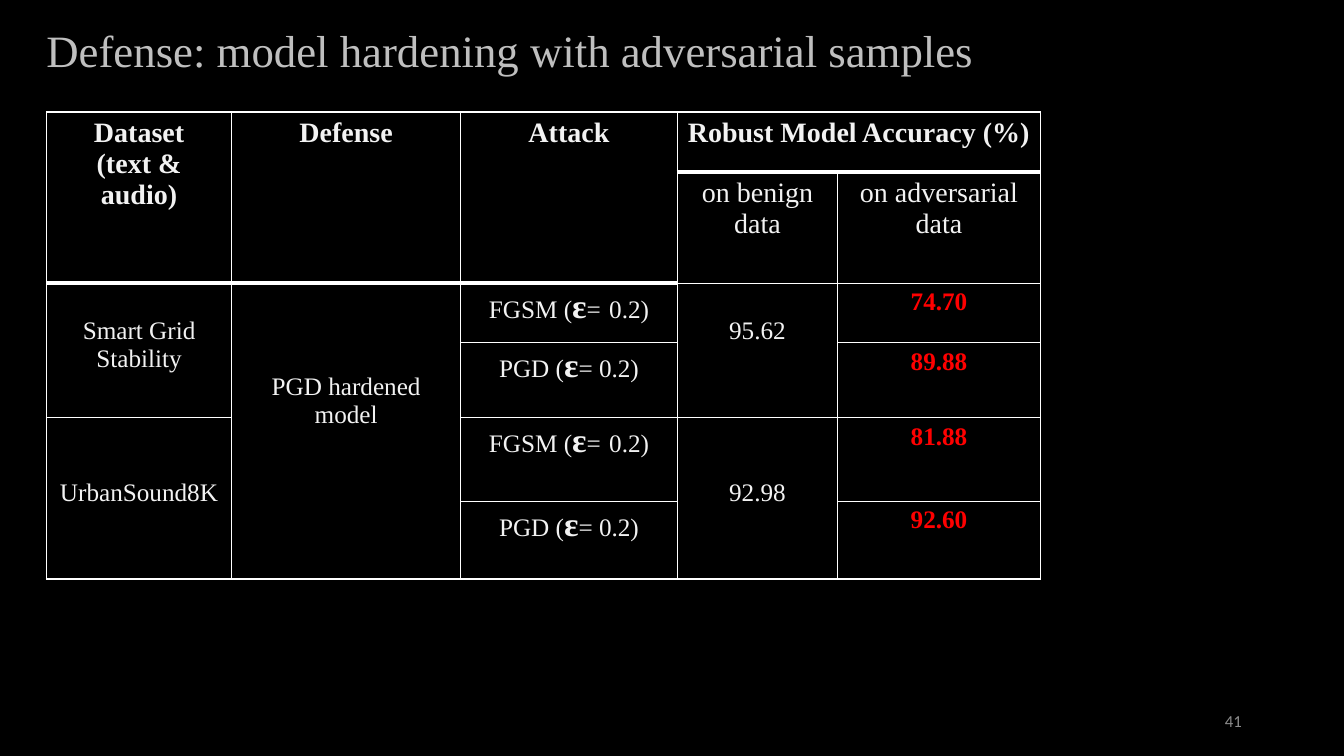
"""Builds the slide on model hardening with adversarial samples."""
from lxml.etree import SubElement
from pptx import Presentation
from pptx.dml.color import RGBColor
from pptx.enum.text import MSO_ANCHOR as Anchor, PP_ALIGN as Align
from pptx.oxml.ns import qn
from pptx.util import Cm, Pt

BLACK, WHITE, PALE, RED = "000000", "FFFFFF", "F2F2F2", "FF0000"


def write(paragraph, text, size=18, color=PALE, bold=False,
          font="Times New Roman", align=Align.CENTER):
    paragraph.alignment = align
    run = paragraph.add_run()
    run.text = text
    run.font.size = Pt(size)
    run.font.name = font
    run.font.bold = bold
    run.font.color.rgb = RGBColor.from_string(color)


def draw_border(cell, edge, width):
    line = SubElement(cell._tc.get_or_add_tcPr(), qn(f"a:ln{edge}"), w=str(Pt(width)))
    fill = SubElement(line, qn("a:solidFill"))
    SubElement(fill, qn("a:srgbClr"), val=WHITE)


deck = Presentation()
deck.slide_width, deck.slide_height = Cm(33.87), Cm(19.05)
slide = deck.slides.add_slide(deck.slide_layouts[6])
slide.background.fill.solid()
slide.background.fill.fore_color.rgb = RGBColor.from_string(BLACK)

title = slide.shapes.add_textbox(Cm(0.92), Cm(0.84), Cm(27.94), Cm(1.22)).text_frame
title.word_wrap = True
title.vertical_anchor = Anchor.BOTTOM
title.paragraphs[0].line_spacing = 0.9
write(title.paragraphs[0], "Defense: model hardening with adversarial samples",
      size=32, color="BFBFBF", align=Align.LEFT)

column_widths = [4.67, 5.77, 5.46, 4.04, 5.11]
row_heights = [1.52, 2.59, 1.5, 1.89, 2.1, 1.96]
results = slide.shapes.add_table(
    len(row_heights), len(column_widths), Cm(1.17), Cm(2.82),
    Cm(sum(column_widths)), Cm(sum(row_heights))).table
results.first_row = results.horz_banding = False
for column, width in zip(results.columns, column_widths):
    column.width = Cm(width)
for row, height in zip(results.rows, row_heights):
    row.height = Cm(height)

header_depths = [2, 2, 2, 1, 1]
for row in range(len(row_heights)):
    for column, depth in enumerate(header_depths):
        cell = results.cell(row, column)
        top = 3 if row == depth else 1
        bottom = 3 if row < depth else 1
        for edge, width in zip("LRTB", (1, 1, top, bottom)):
            draw_border(cell, edge, width)
        cell.fill.solid()
        cell.fill.fore_color.rgb = RGBColor.from_string(BLACK)
        cell.margin_left = cell.margin_right = Cm(0.24)

spans = [(0, 0, 1, 0), (0, 1, 1, 1), (0, 2, 1, 2), (0, 3, 0, 4), (2, 0, 3, 0),
         (2, 1, 5, 1), (2, 3, 3, 3), (4, 0, 5, 0), (4, 3, 5, 3)]
for first_row, first_column, last_row, last_column in spans:
    results.cell(first_row, first_column).merge(results.cell(last_row, last_column))

heading = dict(size=20, bold=True)
subheading = dict(size=20)
accuracy = dict(color=RED, bold=True)
entries = [
    (0, 0, "Dataset\n(text & audio)", 0, heading),
    (0, 1, "Defense", 0, heading),
    (0, 2, "Attack", 0, heading),
    (0, 3, "Robust Model Accuracy (%)", 0, heading),
    (1, 3, "on benign data", 0, subheading),
    (1, 4, "on adversarial data", 0, subheading),
    (2, 0, "Smart Grid Stability", 1, {}),
    (2, 1, "PGD hardened model", 3, {}),
    (2, 3, "95.62", 1, {}),
    (4, 0, "UrbanSound8K", 2, {}),
    (4, 3, "92.98", 2, {}),
    (2, 4, "74.70", 0, accuracy),
    (3, 4, "89.88", 0, accuracy),
    (4, 4, "81.88", 0, accuracy),
    (5, 4, "92.60", 0, accuracy),
]
for row, column, text, lines_above, style in entries:
    cell = results.cell(row, column)
    cell.margin_top = Cm(0.13 + 0.71 * lines_above)
    for index, line in enumerate(text.split("\n")):
        frame = cell.text_frame
        write(frame.add_paragraph() if index else frame.paragraphs[0], line, **style)

for row, attack, gap_size in [(2, "FGSM", 24), (3, "PGD", 18), (4, "FGSM", 24), (5, "PGD", 18)]:
    label = results.cell(row, 2).text_frame.paragraphs[0]
    write(label, f"{attack} (")
    write(label, "ɛ", size=24, bold=True)
    write(label, "=")
    write(label, " ", size=gap_size)
    write(label, "0.2)")

page_number = slide.shapes.add_textbox(Cm(23.93), Cm(17.65), Cm(7.62), Cm(1.02)).text_frame
page_number.word_wrap = True
page_number.vertical_anchor = Anchor.MIDDLE
write(page_number.paragraphs[0], "41", size=12, color="8C8C8C", font="Calibri", align=Align.RIGHT)

deck.save("out.pptx")
